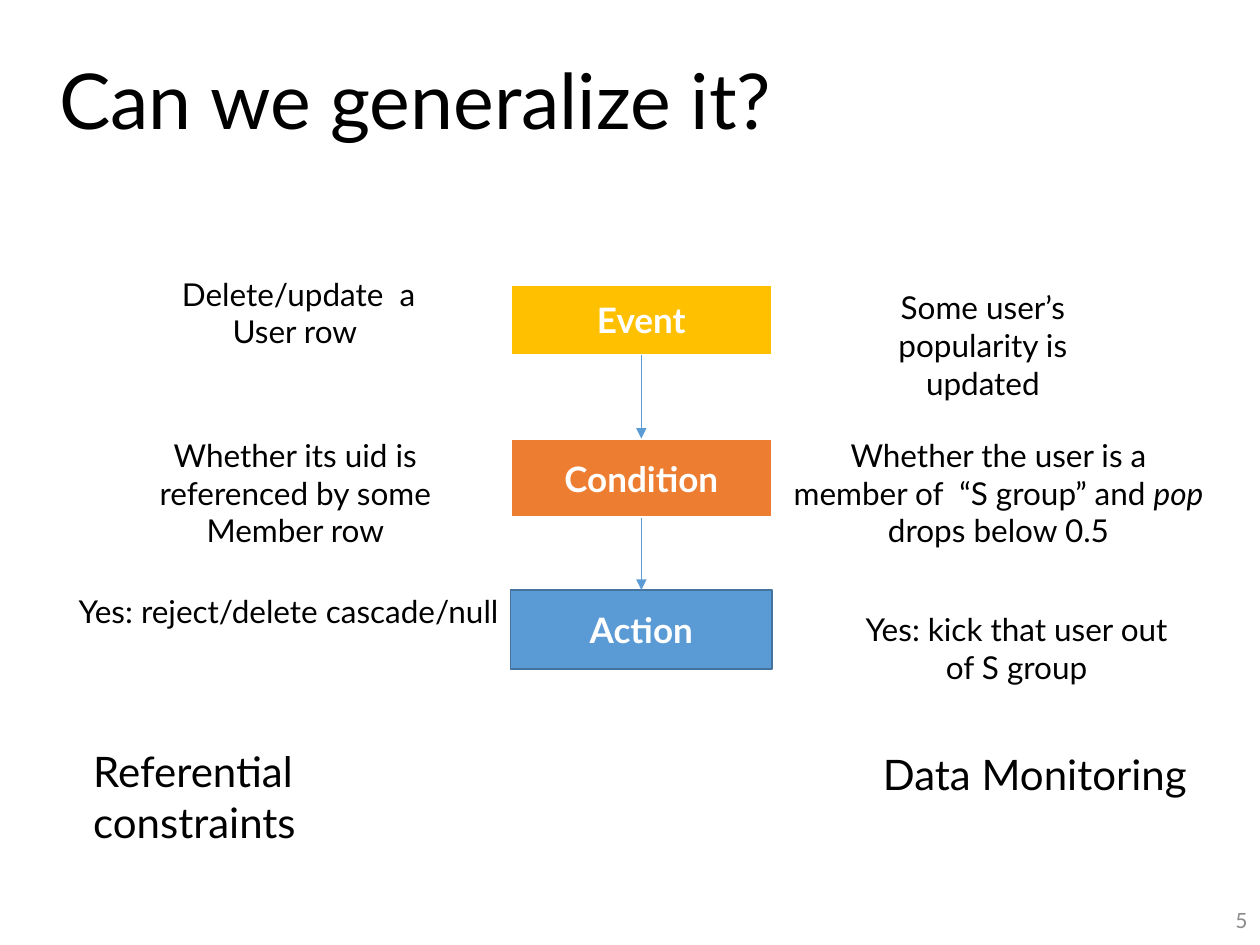
from dataclasses import dataclass

from lxml.etree import SubElement
from pptx import Presentation
from pptx.dml.color import RGBColor
from pptx.enum.shapes import MSO_CONNECTOR, MSO_SHAPE
from pptx.enum.text import MSO_ANCHOR, MSO_AUTO_SIZE, PP_ALIGN
from pptx.oxml.ns import qn
from pptx.util import Cm, Pt

FONT = "Lato"
BLACK, WHITE, GREY, BLUE = "000000", "FFFFFF", "8C8C8C", "5B9BD5"
STEP_LEFT, STEP_WIDTH = 10.29, 5.28


@dataclass
class Step:
    label: str
    top: float
    height: float
    fill: str
    line: str = WHITE
    line_width: float = 1.5


@dataclass
class Note:
    runs: list[str]  # every second run is italic
    left: float
    top: float
    width: float
    height: float
    size: int = 18
    align: PP_ALIGN = PP_ALIGN.CENTER


STEPS = [
    Step("Event", 5.74, 1.42, "FFC000"),
    Step("Condition", 8.84, 1.6, "ED7D31"),
    Step("Action", 11.89, 1.6, BLUE, "43739E", 1),
]

NOTES = [
    # Referential constraints, on the left
    Note(["Delete/update  a User row "], 3.05, 5.41, 5.94, 1.8),
    Note(["Whether its uid is referenced by some Member row"], 2.08, 8.66, 7.75, 2.57),
    Note(["Yes: reject/delete cascade/null"], 0.36, 11.81, 10.92, 1.02),
    Note(["Referential constraints"], 1.63, 14.91, 8.74, 1.27, 24, PP_ALIGN.LEFT),
    # Data monitoring, on the right
    Note(["Some user’s popularity is updated"], 16.64, 5.69, 6.35, 1.8),
    Note(["Whether the user is a member of  “S group” and ", "pop", " drops below 0.5"],
         15.7, 8.66, 8.86, 2.57),
    Note(["Yes: kick that user out of S group"], 16.99, 12.17, 7.01, 1.8),
    Note(["Data Monitoring"], 17.55, 14.96, 7.01, 1.27, 24, PP_ALIGN.LEFT),
]


def rgb(color: str) -> RGBColor:
    return RGBColor.from_string(color)


def write(tf, *runs: str, size: float, color: str = BLACK, bold: bool = False,
          align=PP_ALIGN.LEFT, anchor=MSO_ANCHOR.TOP, spacing=None) -> None:
    """Fill a text frame with one paragraph; every second run is italic."""
    tf.word_wrap = True
    tf.vertical_anchor = anchor
    p = tf.paragraphs[0]
    p.alignment = align
    p.line_spacing = spacing
    for i, text in enumerate(runs):
        r = p.add_run()
        r.text = text
        r.font.name = FONT
        r.font.size = Pt(size)
        r.font.bold = bold
        r.font.italic = i % 2 == 1
        r.font.color.rgb = rgb(color)


def add_step(s, step: Step):
    sp = s.shapes.add_shape(MSO_SHAPE.RECTANGLE, Cm(STEP_LEFT), Cm(step.top),
                            Cm(STEP_WIDTH), Cm(step.height))
    sp.shadow.inherit = False
    sp.fill.solid()
    sp.fill.fore_color.rgb = rgb(step.fill)
    sp.line.color.rgb = rgb(step.line)
    sp.line.width = Pt(step.line_width)
    write(sp.text_frame, step.label, size=20, color=WHITE, bold=True,
          align=PP_ALIGN.CENTER, anchor=MSO_ANCHOR.MIDDLE)
    return sp


def add_arrow(s, upper, lower) -> None:
    """Join the bottom of one step to the top of the next."""
    c = s.shapes.add_connector(MSO_CONNECTOR.STRAIGHT, 0, 0, 0, 0)
    c.begin_connect(upper, 2)
    c.end_connect(lower, 0)
    c.line.color.rgb = rgb(BLUE)
    c.line.width = Pt(0.5)
    SubElement(c.line._get_or_add_ln(), qn("a:tailEnd"), type="triangle")
    SubElement(c._element.spPr, qn("a:effectLst"))


def add_note(s, note: Note) -> None:
    sp = s.shapes.add_textbox(Cm(note.left), Cm(note.top), Cm(note.width), Cm(note.height))
    write(sp.text_frame, *note.runs, size=note.size, align=note.align)
    sp.text_frame.auto_size = MSO_AUTO_SIZE.SHAPE_TO_FIT_TEXT


def main() -> None:
    prs = Presentation()
    prs.slide_width, prs.slide_height = Cm(25.4), Cm(19.05)
    s = prs.slides.add_slide(prs.slide_layouts[5])

    # Title
    title = s.shapes.title
    title.left, title.top, title.width, title.height = Cm(0.94), Cm(0.46), Cm(24.46), Cm(3.28)
    write(title.text_frame, "Can we generalize it?", size=44,
          anchor=MSO_ANCHOR.MIDDLE, spacing=0.9)

    # Slide number
    number = s.shapes.add_textbox(Cm(19.69), Cm(18.03), Cm(5.71), Cm(1.02))
    write(number.text_frame, "5", size=12, color=GREY,
          align=PP_ALIGN.RIGHT, anchor=MSO_ANCHOR.MIDDLE)

    # Event, condition, action chain
    boxes = [add_step(s, step) for step in STEPS]
    for upper, lower in zip(boxes, boxes[1:]):
        add_arrow(s, upper, lower)

    # Examples on both sides
    for note in NOTES:
        add_note(s, note)

    prs.save("out.pptx")


if __name__ == "__main__":
    main()
